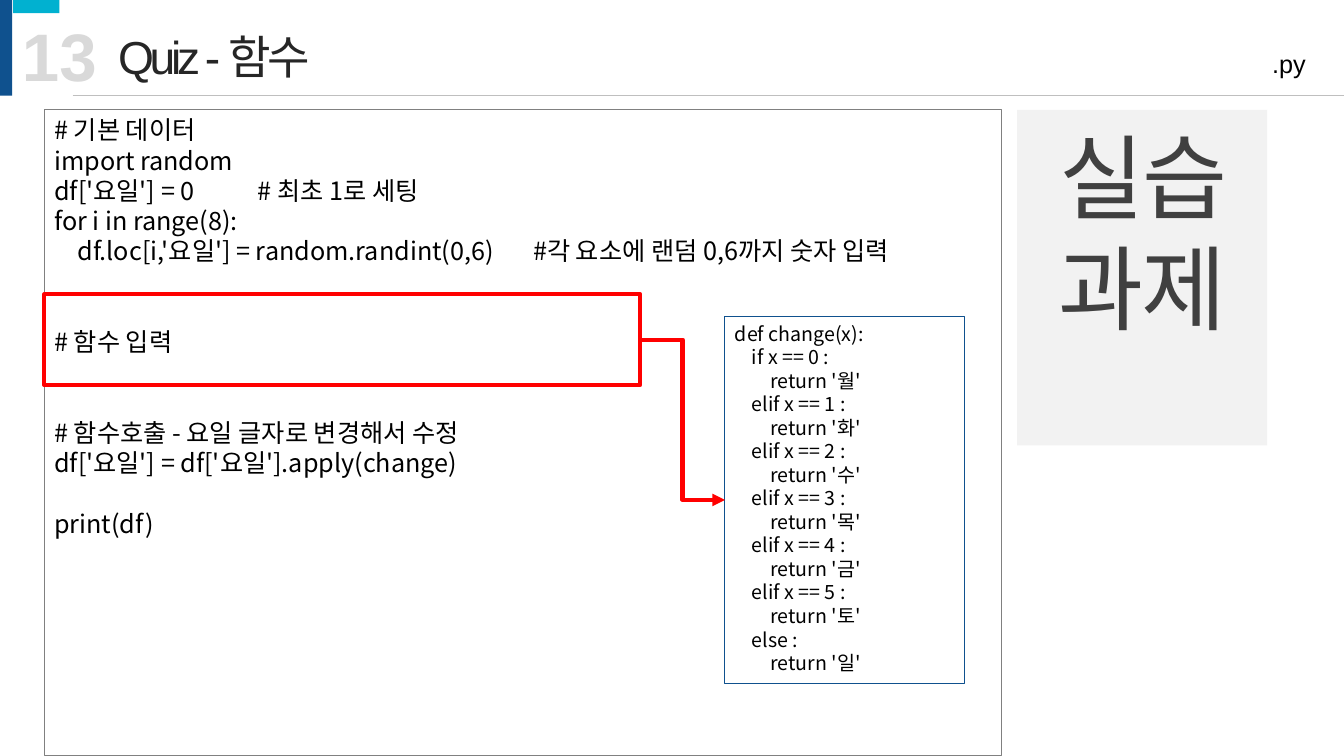
from lxml.etree import SubElement
from pptx import Presentation
from pptx.dml.color import RGBColor
from pptx.enum.shapes import MSO_CONNECTOR, MSO_SHAPE
from pptx.enum.text import MSO_ANCHOR, MSO_AUTO_SIZE, PP_ALIGN
from pptx.oxml.ns import qn
from pptx.util import Inches, Pt

NAVY = RGBColor(0x0F, 0x51, 0x8E)
CYAN = RGBColor(0x01, 0xB1, 0xD0)
RED = RGBColor(0xFF, 0x00, 0x00)
BLACK = RGBColor(0x00, 0x00, 0x00)
INK = RGBColor(0x26, 0x26, 0x26)
DARK = RGBColor(0x40, 0x40, 0x40)
GRAY = RGBColor(0x80, 0x80, 0x80)
RULE = RGBColor(0xBF, 0xBF, 0xBF)
PALE = RGBColor(0xD9, 0xD9, 0xD9)
PANEL = RGBColor(0xF2, 0xF2, 0xF2)

SANS, HANGUL = "Arial", "Noto Sans CJK KR"
WIDTH, HEIGHT = Inches(13.33), Inches(7.5)
LEADING = 1.2  # line height as a multiple of the text size

# Each code line with the number of empty lines above it
SETUP_CODE = [
    ("# 기본 데이터", 0),
    ("import random", 0),
    ("df['요일'] = 0\t# 최초 1로 세팅", 0),
    ("for i in range(8):", 0),
    ("\tdf.loc[i,'요일'] = random.randint(0,6)\t#각 요소에 랜덤 0,6까지 숫자 입력", 0),
    ("# 함수 입력", 2),
    ("# 함수호출 - 요일 글자로 변경해서 수정", 2),
    ("df['요일'] = df['요일'].apply(change)", 0),
    ("print(df)", 1),
]
SETUP_TABS = {2: [2.02], 4: [0.23, 4.75]}
DAYS = "월화수목금토"


def box(left, top, width, height):
    """Turn percentages of the slide into lengths."""
    return (int(WIDTH * left / 100), int(HEIGHT * top / 100),
            int(WIDTH * width / 100), int(HEIGHT * height / 100))


def add_rect(slide, area, fill=None, line=None, weight=0.75):
    sp = slide.shapes.add_shape(MSO_SHAPE.RECTANGLE, *box(*area))
    sp.shadow.inherit = False
    if fill is None:
        sp.fill.background()
    else:
        sp.fill.solid()
        sp.fill.fore_color.rgb = fill
    if line is None:
        sp.line.fill.background()
    else:
        sp.line.color.rgb = line
        sp.line.width = Pt(weight)
    return sp


def add_label(slide, area):
    return slide.shapes.add_textbox(*box(*area))


def add_line(slide, kind, ends, color, weight):
    cxn = slide.shapes.add_connector(kind, *ends)
    cxn.line.color.rgb = color
    cxn.line.width = Pt(weight)
    SubElement(cxn._element.spPr, qn("a:effectLst"))
    return cxn


def write(sp, text, size, color, font=SANS, bold=False, align=PP_ALIGN.LEFT,
          anchor=MSO_ANCHOR.TOP, wrap=True, spacing=0, leading=None,
          gap=0, tabs=(), more=False):
    """Write one paragraph; more=True adds it below the existing ones."""
    tf = sp.text_frame
    tf.word_wrap = wrap
    tf.auto_size = MSO_AUTO_SIZE.NONE
    tf.vertical_anchor = anchor
    p = tf.add_paragraph() if more else tf.paragraphs[0]
    p.alignment = align
    p.space_before = Pt(gap)
    if leading:
        p.line_spacing = Pt(round(size * leading, 1))
    if tabs:
        stops = SubElement(p._p.get_or_add_pPr(), qn("a:tabLst"))
        for tab in tabs:
            SubElement(stops, qn("a:tab"), pos=str(Inches(tab)), algn="l")
    r = p.add_run()
    r.text = text
    r.font.size = Pt(size)
    r.font.bold = bold
    r.font.color.rgb = color
    r.font.name = font
    rPr = r._r.get_or_add_rPr()
    SubElement(rPr, qn("a:ea"), typeface=HANGUL)
    if spacing:
        rPr.set("spc", str(int(spacing * 100)))


def write_code(sp, lines, size, tabs):
    for i, (text, empty) in enumerate(lines):
        write(sp, text, size, BLACK, font=HANGUL, leading=LEADING,
              gap=round(empty * size * LEADING, 1), tabs=tabs.get(i, ()), more=i > 0)


def change_code():
    """Lines of the function that turns a number into a weekday."""
    lines = ["def change(x):"]
    for i, day in enumerate(DAYS):
        lines += [f"\t{'elif' if i else 'if'} x == {i} :", f"\t\treturn '{day}'"]
    lines += ["\telse :", "\t\treturn '일'"]
    return [(line, 0) for line in lines]


def add_header(slide):
    add_rect(slide, (0, 0, 0.9, 12.67), fill=NAVY)
    add_rect(slide, (0.98, 0, 3.45, 1.73), fill=CYAN)
    x, y, w, _ = box(5.4, 12.67, 94.6, 0)
    add_line(slide, MSO_CONNECTOR.STRAIGHT, (x, y, x + w, y), RULE, 0.5)
    write(add_label(slide, (0.9, 1.2, 7.13, 12.13)), "13", 48, PALE,
          bold=True, wrap=False)
    write(add_label(slide, (66.99, 5.73, 30.91, 5.33)), ".py", 18, BLACK,
          align=PP_ALIGN.RIGHT)
    title = slide.shapes.title
    title.left, title.top, title.width, title.height = box(8.03, 2.93, 65.79, 8.93)
    write(title, "Quiz - 함수", 33, INK, anchor=MSO_ANCHOR.MIDDLE,
          spacing=-3, leading=LEADING)


def main():
    prs = Presentation()
    prs.slide_width, prs.slide_height = WIDTH, HEIGHT
    slide = prs.slides.add_slide(prs.slide_layouts[5])
    add_header(slide)

    # Main code and task panel
    code = add_rect(slide, (3.3, 14.53, 71.19, 85.47), line=GRAY)
    write_code(code, SETUP_CODE, 18, SETUP_TABS)
    task = add_rect(slide, (75.69, 14.53, 18.6, 44.4), fill=PANEL)
    task.text_frame.margin_top = Inches(0.1)
    write(task, "실습과제", 66, DARK, align=PP_ALIGN.CENTER,
          spacing=-1.5, leading=LEADING)

    # Gap for the function, and the function that fills it
    gap = add_rect(slide, (3.3, 38.93, 44.34, 12), line=RED, weight=3)
    answer = add_rect(slide, (53.94, 41.87, 17.85, 48.53), line=NAVY)
    lines = change_code()
    write_code(answer, lines, 14, {i: [0.17, 0.35] for i in range(1, len(lines))})
    arrow = add_line(slide, MSO_CONNECTOR.ELBOW, (0, 0, 0, 0), RED, 3)
    arrow.begin_connect(gap, 3)
    arrow.end_connect(answer, 1)
    SubElement(arrow.line._get_or_add_ln(), qn("a:tailEnd"), type="triangle")

    prs.save("out.pptx")


if __name__ == "__main__":
    main()
